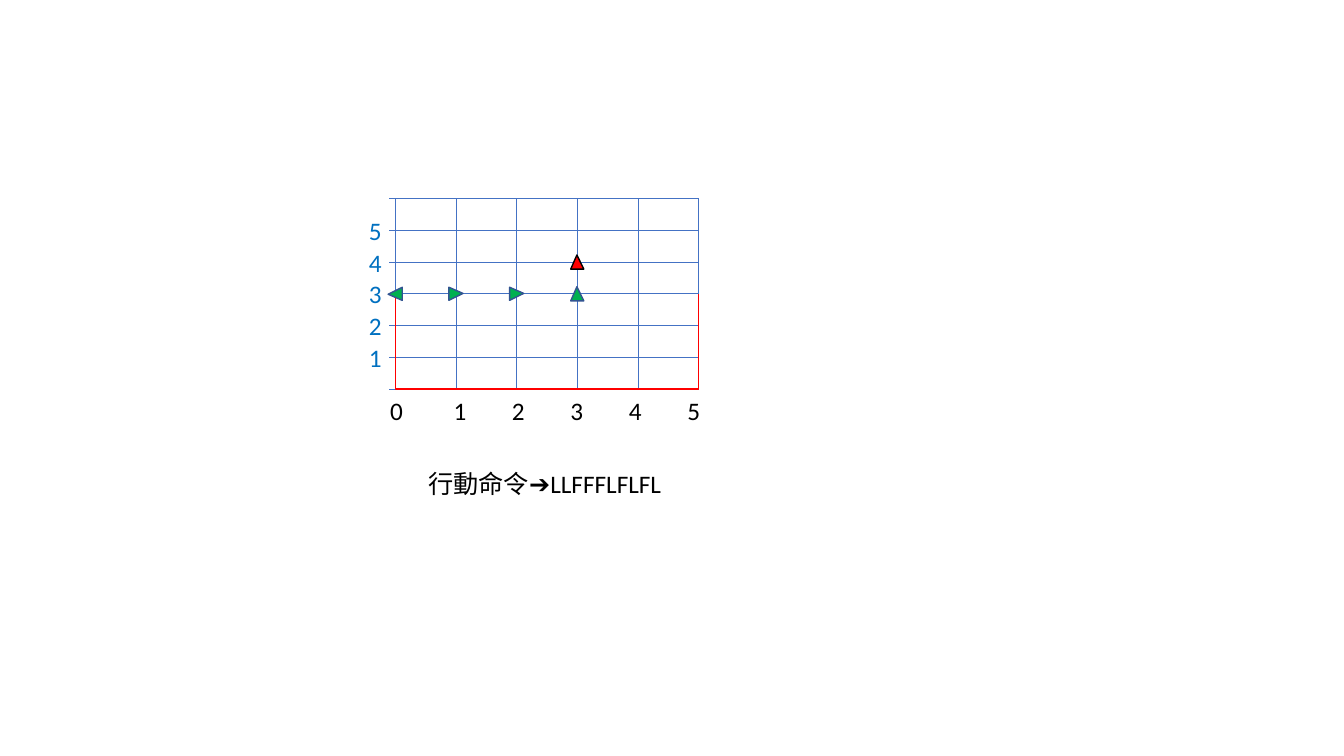
from lxml import etree
from pptx import Presentation
from pptx.dml.color import RGBColor
from pptx.enum.shapes import MSO_CONNECTOR, MSO_SHAPE
from pptx.enum.text import MSO_AUTO_SIZE
from pptx.oxml.ns import qn
from pptx.util import Inches, Pt

STRAIGHT = MSO_CONNECTOR.STRAIGHT
TRIANGLE = MSO_SHAPE.ISOSCELES_TRIANGLE
FIT_TEXT = MSO_AUTO_SIZE.SHAPE_TO_FIT_TEXT

COLORS = {
    "grid": "4472C4",
    "row_label": "0070C0",
    "text": "000000",
    "boundary": "FF0000",
    "visited": "00B050",
    "visited_edge": "325491",
    "goal": "FF0000",
    "goal_edge": "000000",
}
COLUMNS, ROWS = 5, 6
LABEL_HEIGHT = 0.4
FIELD_BOX = (3.92, 1.97, 3.01, 1.89)
CAPTION_BOX = (4.15, 4.6, 2.58, LABEL_HEIGHT)
ROBOT_STEPS = [
    (0, 3, 270, "visited"),
    (1, 3, 90, "visited"),
    (2, 3, 90, "visited"),
    (3, 3, 0, "visited"),
    (3, 4, 0, "goal"),
]


def rgb(name):
    """Return the named colour."""
    return RGBColor.from_string(COLORS[name])


def add_label(slide, box, text, color="text"):
    """Add one line of text in the box and return its paragraph."""
    label = slide.shapes.add_textbox(*map(Inches, box))
    frame = label.text_frame
    frame.word_wrap = True
    frame.auto_size = FIT_TEXT
    paragraph = frame.paragraphs[0]
    paragraph.text = text
    paragraph.font.name = "Calibri"
    paragraph.font.size = Pt(18)
    paragraph.font.color.rgb = rgb(color)
    return paragraph


def add_grid_line(slide, *ends):
    """Draw one thin grid line."""
    line = slide.shapes.add_connector(STRAIGHT, *map(Inches, ends))
    line.line.color.rgb = rgb("grid")
    line.line.width = Pt(0.5)
    etree.SubElement(line._element.spPr, qn("a:effectLst"))


def add_grid(slide, box):
    """Draw the rows and columns of the field."""
    left, top, width, height = box
    tick = 0.06
    for row in range(ROWS + 1):
        y = top + row * height / ROWS
        add_grid_line(slide, left - tick, y, left + width, y)
    for column in range(COLUMNS + 1):
        x = left + column * width / COLUMNS
        add_grid_line(slide, x, top, x, top + height)


def add_axis_labels(slide, box):
    """Number the columns below the field and the rows beside it."""
    left, top, width, height = box
    bottom = top + height
    numbers = "\t".join(str(column) for column in range(COLUMNS + 1))
    axis = add_label(slide, (left - 0.15, bottom + 0.01, 3.34, LABEL_HEIGHT), numbers)
    tabs = etree.SubElement(axis._p.get_or_add_pPr(), qn("a:tabLst"))
    tabs.getparent().insert(0, tabs)
    for column in range(COLUMNS):
        stop = etree.SubElement(tabs, qn("a:tab"))
        stop.set("pos", str(Inches(0.63 + 0.58 * column)))
        stop.set("algn", "l")
    for row in range(1, ROWS):
        y = bottom - row * height / ROWS - LABEL_HEIGHT / 2
        add_label(slide, (left - 0.36, y, 0.33, LABEL_HEIGHT), str(row), "row_label")


def add_boundary(slide, box):
    """Outline the sides and bottom of the lower half of the field."""
    left, top, width, height = map(Inches, box)
    middle, right, bottom = top + height // 2, left + width, top + height
    builder = slide.shapes.build_freeform(left, middle)
    builder.add_line_segments(
        [(left, bottom), (right, bottom), (right, middle)], close=False
    )
    boundary = builder.convert_to_shape()
    boundary.shadow.inherit = False
    boundary.fill.background()
    boundary.line.color.rgb = rgb("boundary")
    boundary.line.width = Pt(1)


def add_robot(slide, box, column, row, heading, state):
    """Place a robot marker on a grid crossing, turned to its heading."""
    left, top, width, height = box
    marker_width, marker_height = 0.13, 0.14
    x = left + column * width / COLUMNS - marker_width / 2
    y = top + height - row * height / ROWS - marker_height / 2
    robot = slide.shapes.add_shape(
        TRIANGLE, *map(Inches, (x, y, marker_width, marker_height))
    )
    robot.rotation = heading
    robot.adjustments[0] = 0.47
    robot.shadow.inherit = False
    robot.fill.solid()
    robot.fill.fore_color.rgb = rgb(state)
    robot.line.color.rgb = rgb(f"{state}_edge")
    robot.line.width = Pt(1)


def add_field(slide, box):
    """Build the numbered field with its boundary and robot markers."""
    add_grid(slide, box)
    add_axis_labels(slide, box)
    add_boundary(slide, box)
    for step in ROBOT_STEPS:
        add_robot(slide, box, *step)


def main():
    """Build and save the robot route slide."""
    deck = Presentation()
    deck.slide_width, deck.slide_height = Inches(13.33), Inches(7.5)
    slide = deck.slides.add_slide(deck.slide_layouts[6])
    add_field(slide, FIELD_BOX)
    add_label(slide, CAPTION_BOX, "行動命令➔LLFFFLFLFL")
    deck.save("out.pptx")


if __name__ == "__main__":
    main()
